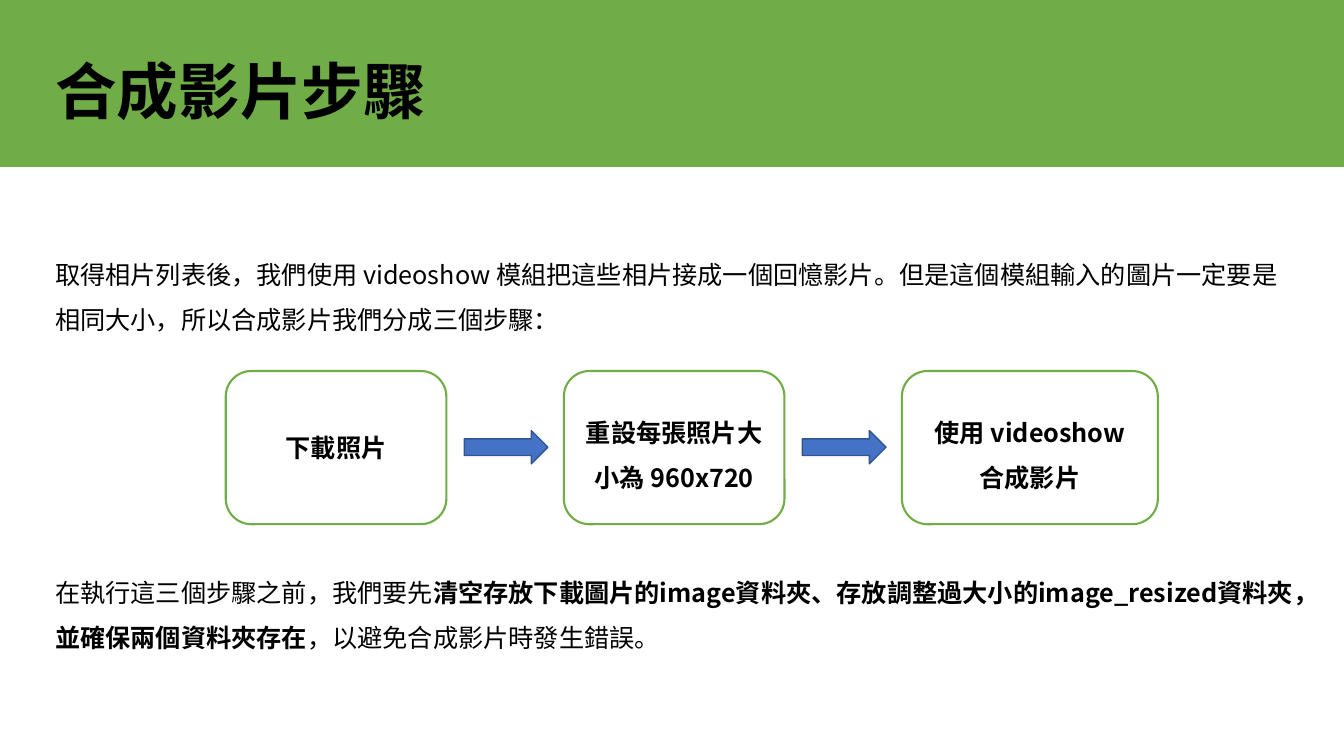
import dataclasses

import lxml.etree
import pptx
import pptx.dml.color
import pptx.enum.shapes
import pptx.enum.text
import pptx.oxml.ns
import pptx.util

Cm = pptx.util.Cm
Pt = pptx.util.Pt
Rgb = pptx.dml.color.RGBColor
Kind = pptx.enum.shapes.MSO_SHAPE
Align = pptx.enum.text.PP_ALIGN
Anchor = pptx.enum.text.MSO_ANCHOR


@dataclasses.dataclass(frozen=True)
class Theme:
    font: str = "Noto Sans CJK SC"
    green: Rgb = Rgb(0x70, 0xAD, 0x47)
    blue: Rgb = Rgb(0x44, 0x72, 0xC4)
    navy: Rgb = Rgb(0x32, 0x54, 0x91)
    ink: Rgb = Rgb(0, 0, 0)
    head: Pt = Pt(44)
    body: Pt = Pt(18)


theme = Theme()


def write(para, runs, size, align, gap):
    """Fill a paragraph with (text, bold) runs."""
    para.alignment = align
    para.line_spacing = gap
    for text, bold in runs:
        run = para.add_run()
        run.text = text
        font = run.font
        font.name, font.size, font.bold = theme.font, size, bold
        font.color.rgb = theme.ink
        # East Asian glyphs need their own typeface entry
        east = lxml.etree.SubElement(run._r.rPr, pptx.oxml.ns.qn("a:ea"))
        east.set("typeface", theme.font)


def draw(kind, left, top, width, height, fill, line, weight):
    """Add a shape; None leaves out its fill or line."""
    shape = slide.shapes.add_shape(kind, Cm(left), Cm(top), Cm(width), Cm(height))
    shape.shadow.inherit = False
    if fill is None:
        shape.fill.background()
    else:
        shape.fill.solid()
        shape.fill.fore_color.rgb = fill
    if line is None:
        shape.line.fill.background()
    else:
        shape.line.color.rgb = line
        shape.line.width = Pt(weight)
    return shape


deck = pptx.Presentation()
deck.slide_width, deck.slide_height = Cm(33.87), Cm(19.05)
slide = deck.slides.add_slide(deck.slide_layouts[5])

# Green band, behind the title
band = draw(Kind.RECTANGLE, 0, 0, 33.87, 4.21, theme.green, None, 0)
slide.shapes._spTree.insert(2, band._element)

# Title
title = slide.shapes.title
title.left, title.top = Cm(1.14), Cm(0.53)
title.width, title.height = Cm(31.55), Cm(3.68)
title.text_frame.vertical_anchor = Anchor.MIDDLE
write(title.text_frame.paragraphs[0], [("合成影片步驟", True)],
      theme.head, Align.LEFT, 0.9)

# Text above and below the steps
texts = [
    (6.02, [("取得相片列表後，我們使用 videoshow 模組把這些相片接成一個回憶影片。"
             "但是這個模組輸入的圖片一定要是相同大小，所以合成影片我們分成三個步驟：", False)]),
    (14.03, [("在執行這三個步驟之前，我們要先", False),
             ("清空存放下載圖片的image資料夾、存放調整過大小的image_resized資料夾，"
              "並確保兩個資料夾存在", True),
             ("，以避免合成影片時發生錯誤。", False)]),
]
for top, runs in texts:
    box = slide.shapes.add_textbox(Cm(1.14), Cm(top), Cm(31.9), Cm(2.6))
    box.text_frame.word_wrap = True
    write(box.text_frame.paragraphs[0], runs, theme.body, Align.LEFT, 1.5)

# Three steps, with an arrow after each but the last
steps = [
    (5.56, 1.0, ["下載照片"]),
    (5.56, 1.5, ["重設每張照片大小為 960x720"]),
    (6.45, 1.5, ["使用 videoshow", "合成影片"]),
]
for num, (width, gap, lines) in enumerate(steps):
    left = 5.69 + num * 8.52
    step = draw(Kind.ROUNDED_RECTANGLE, left, 9.35, width, 3.86,
                None, theme.green, 1.5)
    frame = step.text_frame
    frame.word_wrap = True
    frame.vertical_anchor = Anchor.MIDDLE
    for row, line in enumerate(lines):
        para = frame.add_paragraph() if row else frame.paragraphs[0]
        write(para, [(line, True)], theme.body, Align.CENTER, gap)
    if num < len(steps) - 1:
        draw(Kind.RIGHT_ARROW, left + width + 0.45, 10.85, 2.11, 0.84,
             theme.blue, theme.navy, 1)

deck.save("out.pptx")
